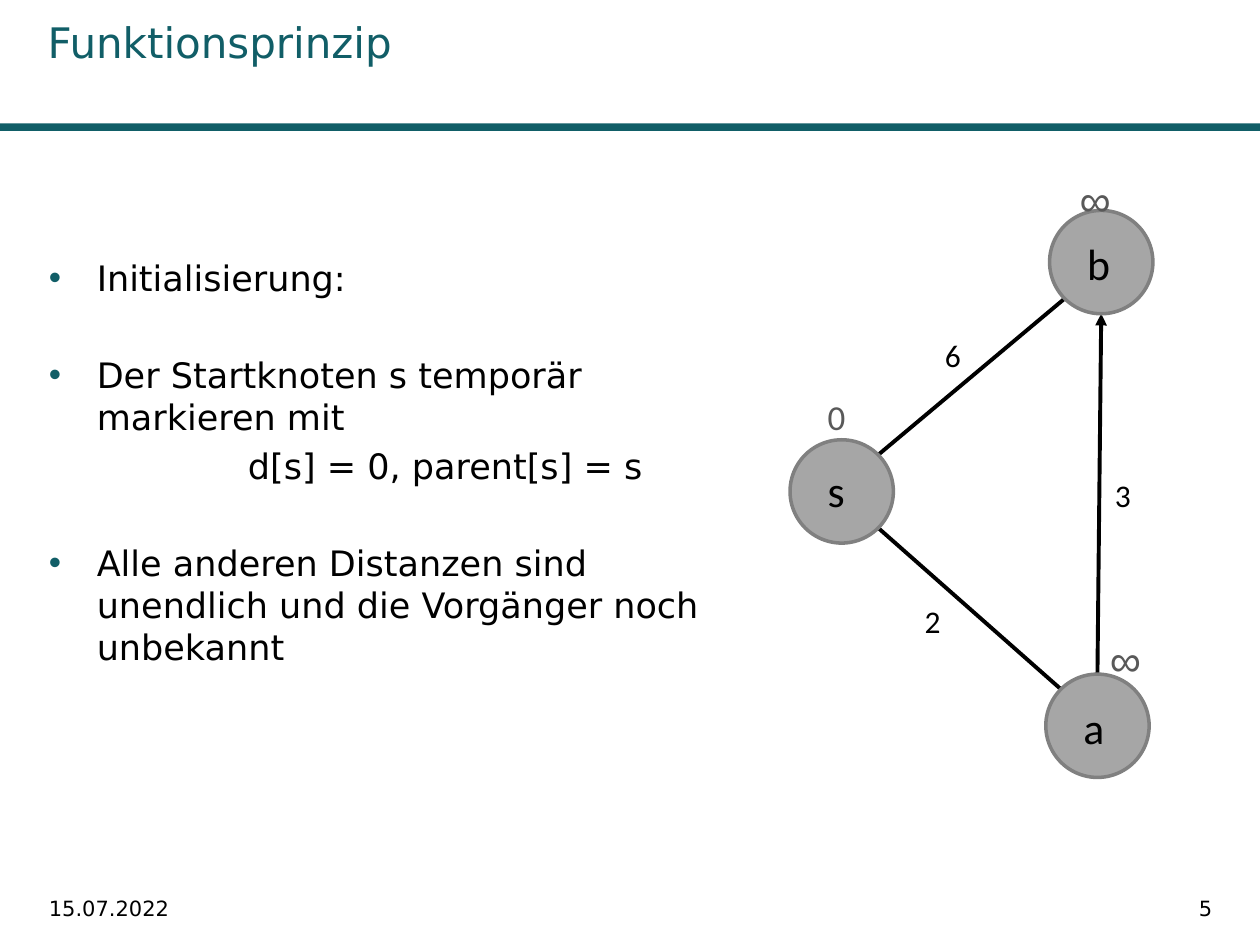
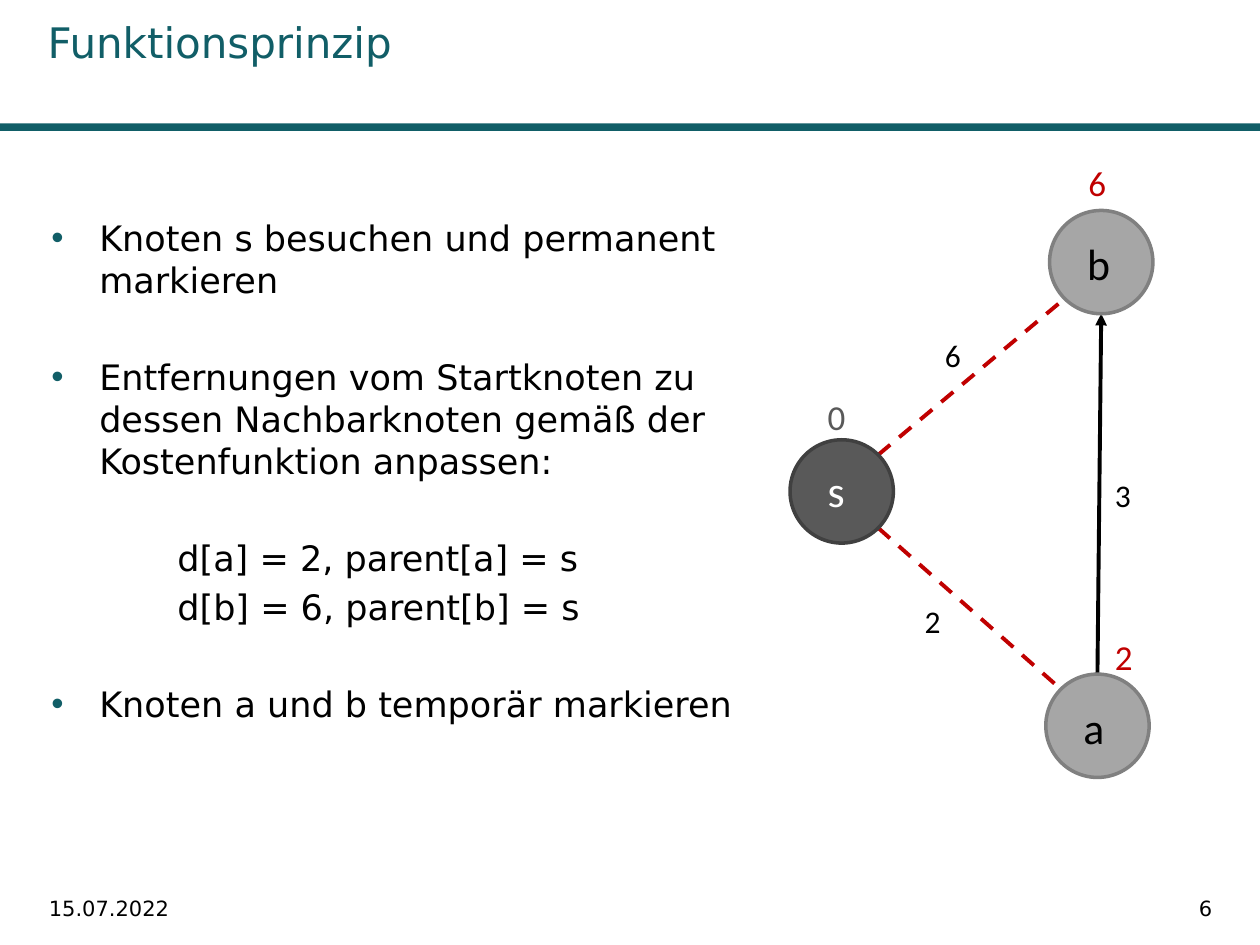
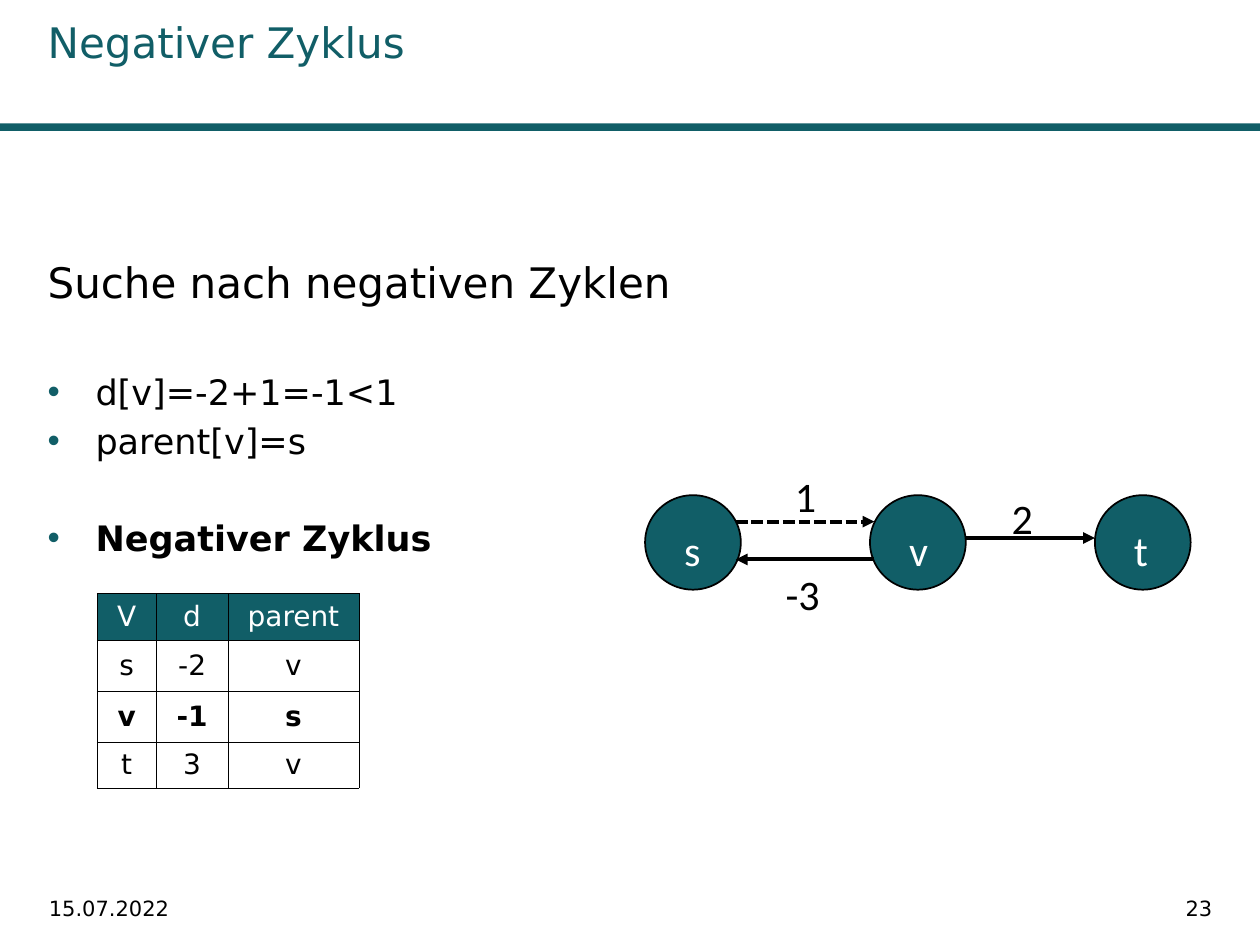
from lxml import etree
from pptx import Presentation
from pptx.dml.color import RGBColor
from pptx.enum import dml, shapes, text
from pptx.oxml.ns import qn
from pptx.util import Inches, Pt

TEAL = RGBColor(0x11, 0x5E, 0x67)
BLACK = RGBColor(0, 0, 0)
WHITE = RGBColor(0xFF, 0xFF, 0xFF)
RED = RGBColor(0xC0, 0, 0)
GREY = RGBColor(0xA6, 0xA6, 0xA6)
GREY_EDGE = RGBColor(0x80, 0x80, 0x80)
DARK = RGBColor(0x59, 0x59, 0x59)
DARK_EDGE = RGBColor(0x40, 0x40, 0x40)
SANS, LABEL, SYMBOL = "DejaVu Sans", "Calibri", "Arial"
DASH, SHORT_DASH = dml.MSO_LINE.DASH, dml.MSO_LINE.SQUARE_DOT
LEFT, CENTER, RIGHT = text.PP_ALIGN.LEFT, text.PP_ALIGN.CENTER, text.PP_ALIGN.RIGHT

DATE = "15.07.2022"
GAP = 31.3  # space before a paragraph that follows a break of one line

# Paragraphs: text, then what differs from a bullet at 20 pt
INIT = [
    ("Initialisierung:", {}),
    ("Der Startknoten s temporär markieren mit", {"before": GAP}),
    ("d[s] = 0, parent[s] = s", {"bullet": False, "margin": 1.58}),
    ("Alle anderen Distanzen sind unendlich und die Vorgänger noch unbekannt", {"before": GAP}),
]
VISIT = [
    ("Knoten s besuchen und permanent markieren", {}),
    ("Entfernungen vom Startknoten zu dessen Nachbarknoten gemäß der "
     "Kostenfunktion anpassen:", {"before": GAP}),
    ("d[a] = 2, parent[a] = s", {"bullet": False, "margin": 1, "before": GAP}),
    ("d[b] = 6, parent[b] = s", {"bullet": False, "margin": 1}),
    ("Knoten a und b temporär markieren", {"before": GAP}),
]
CYCLE = [
    ("Suche nach negativen Zyklen", {"bullet": False, "size": 24}),
    ("d[v]=-2+1=-1<1", {"before": 36}),
    ("parent[v]=s", {}),
    ("Negativer Zyklus", {"before": GAP, "bold": True}),
]

# Triangle graph: node places, edge weights, distances
TRIANGLE_NODES = {"s": (6.27, 3.49), "b": (8.33, 1.67), "a": (8.3, 5.35)}
ARC = ((8.71, 5.35), (8.74, 2.49))
START_EDGES = [((6.97, 4.19), (8.42, 5.47)), ((6.97, 3.61), (8.45, 2.37))]
WEIGHTS = [("6", 7.4, 2.6), ("2", 7.24, 4.71), ("3", 8.75, 3.71)]
START_DISTANCE = ("0", 6.47, 3.07, 20, LABEL, DARK)
INIT_DISTANCES = [START_DISTANCE, ("∞", 8.47, 1.29, 25, SYMBOL, DARK),
                  ("∞", 8.71, 4.94, 25, SYMBOL, DARK)]
VISIT_DISTANCES = [START_DISTANCE, ("6", 8.54, 1.21, 20, LABEL, RED),
                   ("2", 8.75, 4.97, 20, LABEL, RED)]

# Chain graph and its table
CHAIN_NODES, CHAIN_LEFT, CHAIN_TOP, CHAIN_STEP = "svt", 5.12, 3.93, 1.785
CHAIN_EDGES = [((5.84, 4.14), (6.94, 4.14), SHORT_DASH),
               ((6.94, 4.44), (5.84, 4.44), None),
               ((7.66, 4.27), (8.69, 4.27), None)]
CHAIN_WEIGHTS = [("1", (6.21, 3.71, 0.34, 0.45)), ("-3", (6.13, 4.33, 0.48, 0.77)),
                 ("2", (7.93, 3.88, 0.34, 0.45))]
PARENTS = [["V", "d", "parent"], ["s", "-2", "v"], ["v", "-1", "s"], ["t", "3", "v"]]
PARENT_COLUMNS = [0.47, 0.57, 1.04]
PARENT_ROWS = [0.36, 0.41, 0.4, 0.37]
CHANGED_ROW = 2


def inches(values):
    return [Inches(value) for value in values]


def write(paragraph, words, size=20, font=SANS, color=BLACK, bold=False, align=LEFT,
          before=0, after=0, spacing=None, bullet=False, margin=0):
    """Fill one paragraph with formatted text."""
    paragraph.alignment = align
    paragraph.space_before, paragraph.space_after = Pt(before), Pt(after)
    if spacing:
        paragraph.line_spacing = spacing
    run = paragraph.add_run()
    run.text = words
    run.font.size, run.font.name, run.font.bold = Pt(size), font, bold
    run.font.color.rgb = color
    props = paragraph._p.get_or_add_pPr()
    props.set("marL", str(Inches(0.38 if bullet else margin)))
    props.set("indent", str(Inches(-0.38 if bullet else 0)))
    if bullet:
        tint = etree.SubElement(props, qn("a:buClr"))
        etree.SubElement(tint, qn("a:srgbClr")).set("val", str(TEAL))
        etree.SubElement(props, qn("a:buFont")).set("typeface", SYMBOL)
        etree.SubElement(props, qn("a:buChar")).set("char", "•")


def add_text(slide, box, content, wrap=True, anchor=text.MSO_ANCHOR.TOP, inset=True, **form):
    """Add a text box; content is a string or a list of (text, format)."""
    frame = slide.shapes.add_textbox(*inches(box)).text_frame
    frame.word_wrap, frame.vertical_anchor = wrap, anchor
    if not inset:
        frame.margin_left = frame.margin_right = frame.margin_top = frame.margin_bottom = 0
    paragraphs = [(content, {})] if isinstance(content, str) else content
    for i, (words, own) in enumerate(paragraphs):
        paragraph = frame.add_paragraph() if i else frame.paragraphs[0]
        write(paragraph, words, **{**form, **own})


def add_form(slide, kind, box, fill, edge=None, width=2):
    form = slide.shapes.add_shape(kind, *inches(box))
    form.shadow.inherit = False
    form.fill.solid()
    form.fill.fore_color.rgb = fill
    if edge is None:
        form.line.fill.background()
    else:
        form.line.color.rgb, form.line.width = edge, Pt(width)


def add_edge(slide, start, end, color=BLACK, dash=None, arrow=False):
    edge = slide.shapes.add_connector(shapes.MSO_CONNECTOR.STRAIGHT, *inches(start + end))
    edge.line.color.rgb, edge.line.width = color, Pt(2.25)
    if dash:
        edge.line.dash_style = dash
    if arrow:
        etree.SubElement(edge.line._get_or_add_ln(), qn("a:tailEnd")).set("type", "triangle")
    etree.SubElement(edge._element.spPr, qn("a:effectLst"))


def add_slide(deck, title, number):
    """Start a slide with the band, title, date and number that all share."""
    slide = deck.slides.add_slide(deck.slide_layouts[6])
    add_form(slide, shapes.MSO_SHAPE.RECTANGLE, (0, 0.98, 10, 0.06), TEAL)
    add_text(slide, (0.28, 0.08, 5.98, 0.79), title, size=24, color=TEAL)
    add_text(slide, (0.29, 7.06, 2.03, 0.31), DATE, size=12)
    add_text(slide, (8.15, 7.06, 1.57, 0.31), str(number), size=12, align=RIGHT)
    return slide


def add_body(slide, box, paragraphs):
    add_text(slide, box, paragraphs, bullet=True, before=4)


def add_triangle(slide, distances, visited="", edge_color=BLACK, dash=None):
    add_edge(slide, *ARC, arrow=True)
    for start, end in START_EDGES:
        add_edge(slide, start, end, edge_color, dash)
    label = {"spacing": 1.07, "after": 8}
    for name, (x, y) in TRIANGLE_NODES.items():
        done = name in visited
        fill, edge, ink = (DARK, DARK_EDGE, WHITE) if done else (GREY, GREY_EDGE, BLACK)
        add_form(slide, shapes.MSO_SHAPE.OVAL, (x, y, 0.82, 0.82), fill, edge)
        rise = 0.11 if name == "s" else 0.13
        add_text(slide, (x + 0.2, y + rise, 0.59, 0.56), name,
                 size=25, font=LABEL, color=ink, **label)
    weights = [weight + (18, LABEL, BLACK) for weight in WEIGHTS]
    for words, x, y, size, font, color in weights + distances:
        add_text(slide, (x, y, 0.55, 0.49), words, size=size, font=font, color=color, **label)


def add_chain(slide):
    for i, name in enumerate(CHAIN_NODES):
        x = CHAIN_LEFT + i * CHAIN_STEP
        add_form(slide, shapes.MSO_SHAPE.OVAL, (x, CHAIN_TOP, 0.76, 0.75), TEAL, BLACK, 1)
        add_text(slide, (x + 0.31, CHAIN_TOP + 0.23, 0.34, 0.33), name,
                 inset=False, size=24, font=LABEL, color=WHITE)
    for start, end, dash in CHAIN_EDGES:
        add_edge(slide, start, end, dash=dash, arrow=True)
    for weight, box in CHAIN_WEIGHTS:
        add_text(slide, box, weight, wrap=False, anchor=text.MSO_ANCHOR.MIDDLE,
                 size=24, font=LABEL, align=CENTER)


def add_borders(cell):
    props = cell._tc.get_or_add_tcPr()
    for i, side in enumerate(("a:lnL", "a:lnR", "a:lnT", "a:lnB")):
        line = etree.Element(qn(side), w="762")
        paint = etree.SubElement(line, qn("a:solidFill"))
        etree.SubElement(paint, qn("a:srgbClr")).set("val", str(BLACK))
        props.insert(i, line)


def add_parents(slide):
    box = (0.77, 4.71, sum(PARENT_COLUMNS), sum(PARENT_ROWS))
    table = slide.shapes.add_table(len(PARENTS), len(PARENT_COLUMNS), *inches(box)).table
    for column, width in zip(table.columns, PARENT_COLUMNS):
        column.width = Inches(width)
    for r, (values, height) in enumerate(zip(PARENTS, PARENT_ROWS)):
        table.rows[r].height = Inches(height)
        fill, ink = (WHITE, BLACK) if r else (TEAL, WHITE)
        for c, value in enumerate(values):
            cell = table.cell(r, c)
            cell.fill.solid()
            cell.fill.fore_color.rgb = fill
            cell.vertical_anchor = text.MSO_ANCHOR.MIDDLE
            write(cell.text_frame.paragraphs[0], value, size=16, color=ink,
                  bold=r == CHANGED_ROW, align=CENTER)
            add_borders(cell)


def main():
    deck = Presentation()
    deck.slide_width, deck.slide_height = Inches(10), Inches(7.5)

    # Initial state
    slide = add_slide(deck, "Funktionsprinzip", 5)
    add_body(slide, (0.29, 1.99, 5.83, 3.81), INIT)
    add_triangle(slide, INIT_DISTANCES)

    # Start node visited
    slide = add_slide(deck, "Funktionsprinzip", 6)
    add_body(slide, (0.31, 1.67, 5.83, 4.43), VISIT)
    add_triangle(slide, VISIT_DISTANCES, visited="s", edge_color=RED, dash=DASH)

    # Negative cycle
    slide = add_slide(deck, "Negativer Zyklus", 23)
    add_body(slide, (0.28, 1.99, 9.45, 2.65), CYCLE)
    add_parents(slide)
    add_chain(slide)

    deck.save("out.pptx")


if __name__ == "__main__":
    main()
